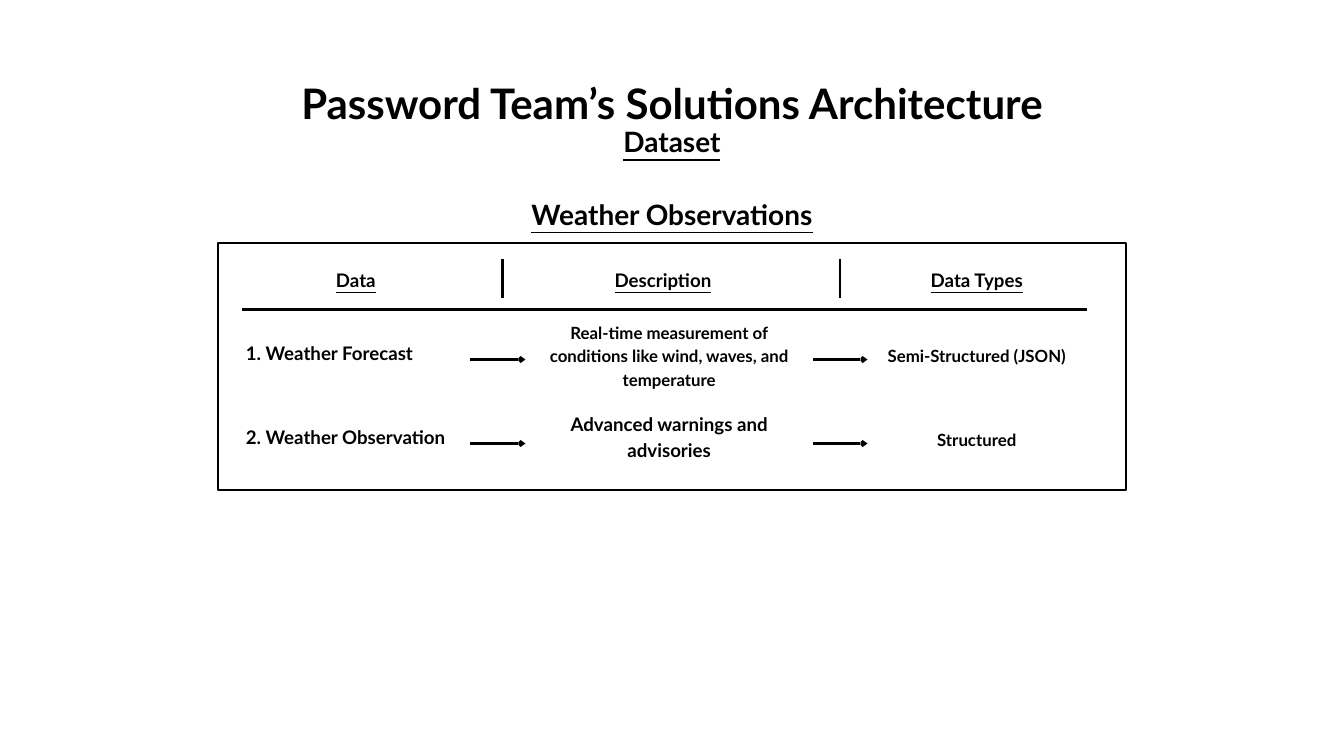
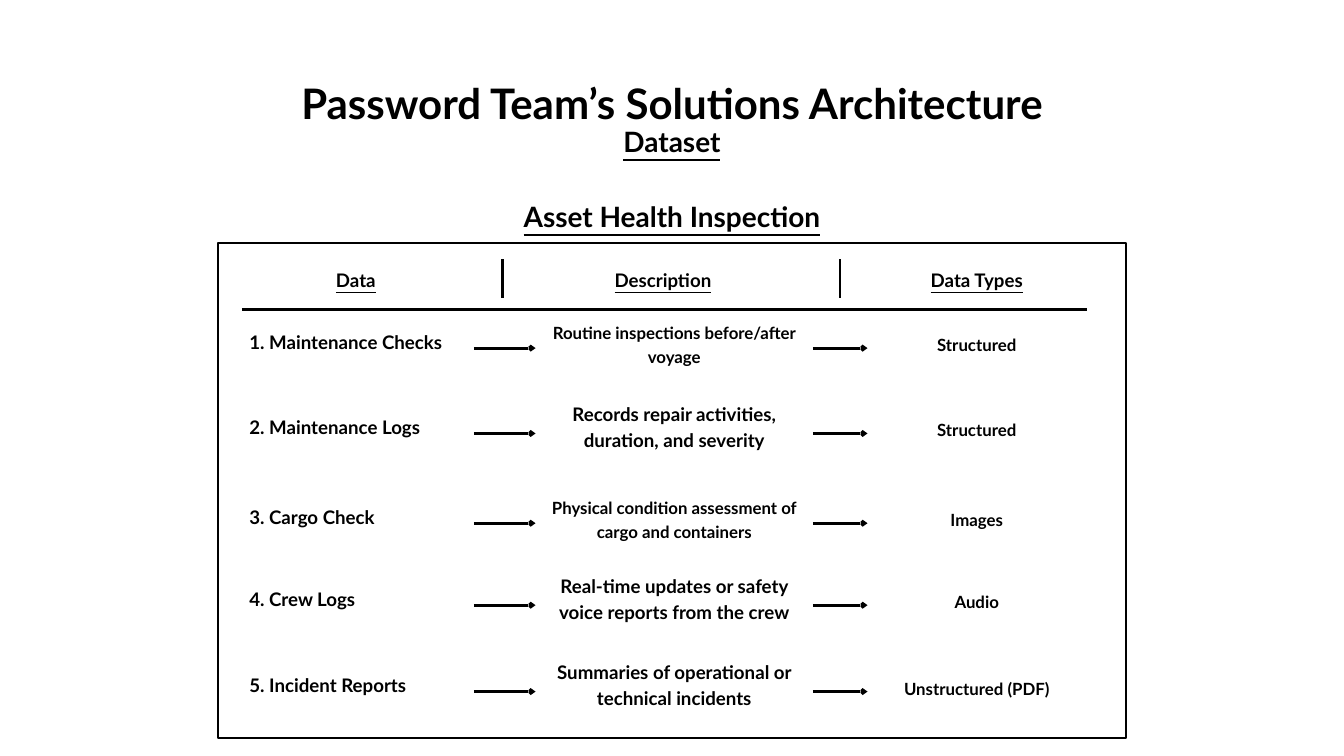
from pptx import Presentation
from pptx.dml.color import RGBColor
from pptx.enum.shapes import MSO_CONNECTOR, MSO_SHAPE
from pptx.enum.text import MSO_ANCHOR, MSO_AUTO_SIZE, PP_ALIGN
from pptx.oxml.ns import qn
from pptx.util import Pt
from lxml.etree import SubElement

BLACK = RGBColor(0, 0, 0)
WHITE = RGBColor(255, 255, 255)
FONT = "Lato"
SLIDE_WIDTH, SLIDE_HEIGHT = 1440, 810

PANEL_LEFT, PANEL_TOP, PANEL_WIDTH = 234, 260, 972
# Offsets from the panel's left edge
DESCRIPTION_RIGHT = 637
TYPE_LEFT, TYPE_WIDTH = 695.5, 234
RULE_START, RULE_END = 25.2, 931
DIVIDERS = (304.6, 666)
HEADERS = (("Data", 98, 98.6), ("Description", 402.5, 147.6), ("Data Types", 738.7, 147.6))
# How far a cell's centre sits above its arrow, by font size
CELL_RISE = {20: 9, 18: 5.3}


def write_text(shape, text, size, spacing=1.13, align=PP_ALIGN.CENTER,
               anchor=MSO_ANCHOR.TOP, inset=0, underline=False):
    """Fill a shape with bold text; spacing is the line pitch per point of size."""
    frame = shape.text_frame
    frame.word_wrap = True
    frame.auto_size = MSO_AUTO_SIZE.NONE
    frame.vertical_anchor = anchor
    frame.margin_left = frame.margin_right = Pt(inset)
    frame.margin_top = frame.margin_bottom = Pt(inset)
    paragraph = frame.paragraphs[0]
    paragraph.alignment = align
    paragraph.line_spacing = Pt(round(size * spacing, 1))
    run = paragraph.add_run()
    run.text = text
    run.font.name = FONT
    run.font.size = Pt(size)
    run.font.bold = True
    run.font.underline = underline
    run.font.color.rgb = BLACK


def add_text(slide, text, left, top, width, height, **text_format):
    box = slide.shapes.add_textbox(Pt(left), Pt(top), Pt(width), Pt(height))
    write_text(box, text, **text_format)


def add_cell(slide, text, left, arrow_y, width, height, size, align=PP_ALIGN.CENTER):
    """Place a table entry so that it sits just above the level of its row's arrows."""
    top = arrow_y - CELL_RISE[size] - height / 2
    add_text(slide, text, left, top, width, height, size=size, spacing=1.4,
             align=align, anchor=MSO_ANCHOR.MIDDLE, inset=4.3)


def add_line(slide, start_x, start_y, end_x, end_y, arrow=False):
    connector = slide.shapes.add_connector(
        MSO_CONNECTOR.STRAIGHT, Pt(start_x), Pt(start_y), Pt(end_x), Pt(end_y))
    connector.line.color.rgb = BLACK
    connector.line.width = Pt(3)
    if arrow:
        SubElement(connector.line._get_or_add_ln(), qn("a:tailEnd"),
                   type="arrow", w="sm", len="sm")
    SubElement(connector._element.spPr, qn("a:effectLst"))


def add_heading(slide, section, section_top, section_width):
    title = slide.shapes.title
    title.left, title.top, title.width, title.height = Pt(167.5), Pt(74.2), Pt(1105), Pt(59.8)
    write_text(title, "Password Team’s Solutions Architecture", size=45, spacing=1.4)
    for text, top, width in (("Dataset", 136, 133), (section, section_top, section_width)):
        add_text(slide, text, (SLIDE_WIDTH - width) / 2, top, width, 34,
                 size=30, underline=True)


def add_panel(slide, left, top, width, height):
    """Draw the frame with its column headers, dividers and rule."""
    frame = slide.shapes.add_shape(MSO_SHAPE.RECTANGLE, Pt(left), Pt(top), Pt(width), Pt(height))
    frame.shadow.inherit = False
    frame.fill.background()
    frame.line.color.rgb = BLACK
    frame.line.width = Pt(2.25)
    for text, offset, header_width in HEADERS:
        add_text(slide, text, left + offset, top + 29.4, header_width, 23,
                 size=20, underline=True)
    for offset in DIVIDERS:
        add_line(slide, left + offset, top + 18, left + offset, top + 59.7)
    add_line(slide, left + RULE_START, top + 72, left + RULE_END, top + 72)


def add_row(slide, left, arrow_y, name, description, description_size, data_type,
            name_left, description_left):
    name_width = 244.8
    add_cell(slide, name, left + name_left, arrow_y, name_width, 75.6, 20, PP_ALIGN.LEFT)
    add_cell(slide, description, left + description_left, arrow_y,
             DESCRIPTION_RIGHT - description_left, 4.14 * description_size, description_size)
    add_cell(slide, data_type, left + TYPE_LEFT, arrow_y, TYPE_WIDTH, 68.4, 18)
    for start, end in ((name_left + name_width, description_left),
                       (DESCRIPTION_RIGHT, TYPE_LEFT)):
        add_line(slide, left + start, arrow_y, left + end, arrow_y, arrow=True)


def add_dataset_slide(presentation, section, section_top, section_width, panel_height,
                      name_left, description_left, rows):
    """Each row is (arrow offset in panel, name, description, description size, data type)."""
    slide = presentation.slides.add_slide(presentation.slide_layouts[5])
    slide.background.fill.solid()
    slide.background.fill.fore_color.rgb = WHITE
    add_heading(slide, section, section_top, section_width)
    add_panel(slide, PANEL_LEFT, PANEL_TOP, PANEL_WIDTH, panel_height)
    for arrow_offset, *entries in rows:
        add_row(slide, PANEL_LEFT, PANEL_TOP + arrow_offset, *entries,
                name_left=name_left, description_left=description_left)


def main():
    presentation = Presentation()
    presentation.slide_width, presentation.slide_height = Pt(SLIDE_WIDTH), Pt(SLIDE_HEIGHT)
    add_dataset_slide(
        presentation, "Weather Observations", 213.8, 334, 265, 25.2, 329, (
            (125.2, "1. Weather Forecast",
             "Real-time measurement of conditions like wind, waves, and temperature", 18,
             "Semi-Structured (JSON)"),
            (215.2, "2. Weather Observation", "Advanced warnings and advisories", 20,
             "Structured"),
        ))
    add_dataset_slide(
        presentation, "Asset Health Inspection", 216, 366.5, 530.6, 28.8, 339.8, (
            (113, "1. Maintenance Checks", "Routine inspections before/after voyage", 18,
             "Structured"),
            (204.4, "2. Maintenance Logs",
             "Records repair activities, duration, and severity", 20, "Structured"),
            (300.6, "3. Cargo Check",
             "Physical condition assessment of cargo and containers", 18, "Images"),
            (388.4, "4. Crew Logs",
             "Real-time updates or safety voice reports from the crew", 20, "Audio"),
            (481, "5. Incident Reports",
             "Summaries of operational or technical incidents", 20, "Unstructured (PDF)"),
        ))
    presentation.save("out.pptx")


if __name__ == "__main__":
    main()
